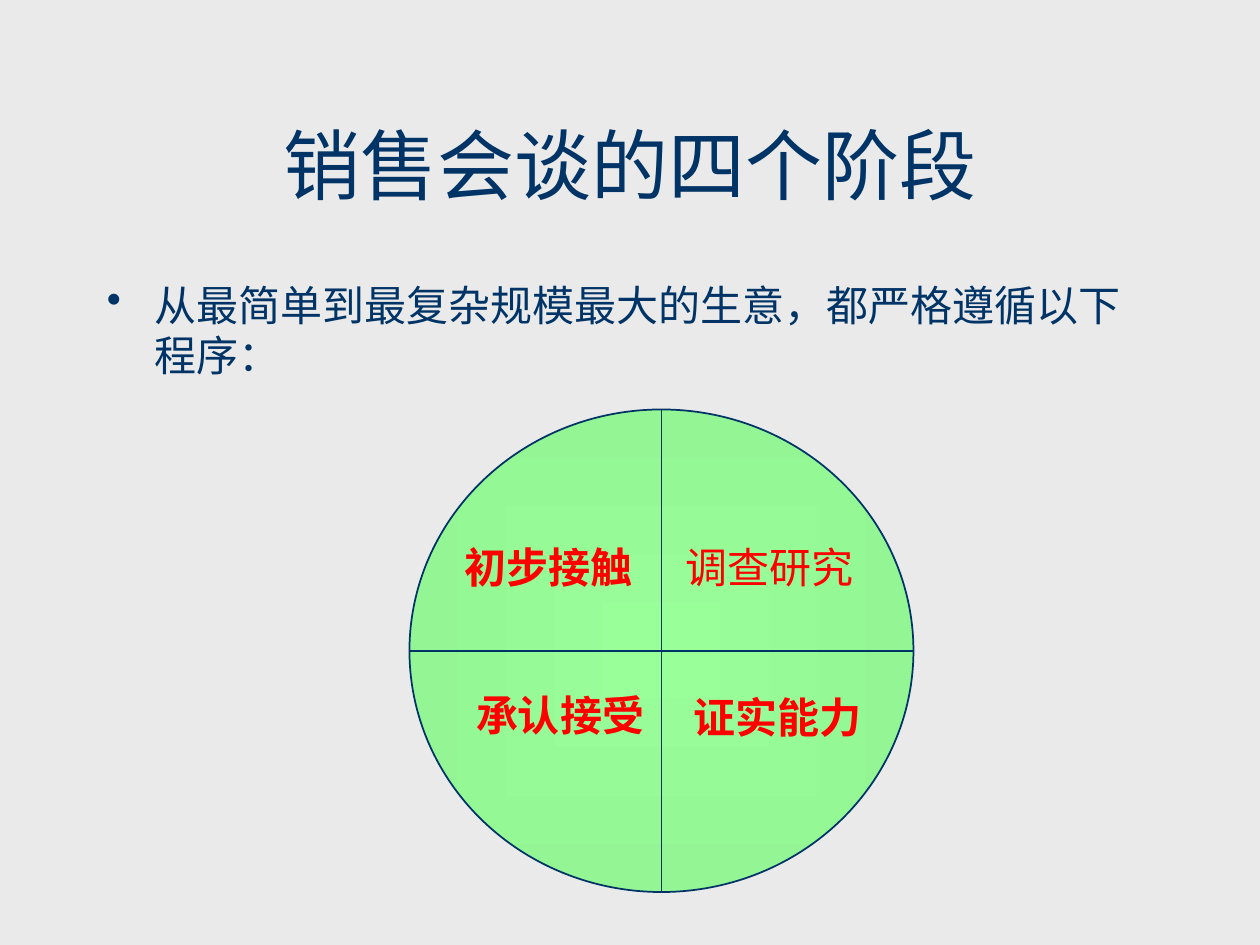
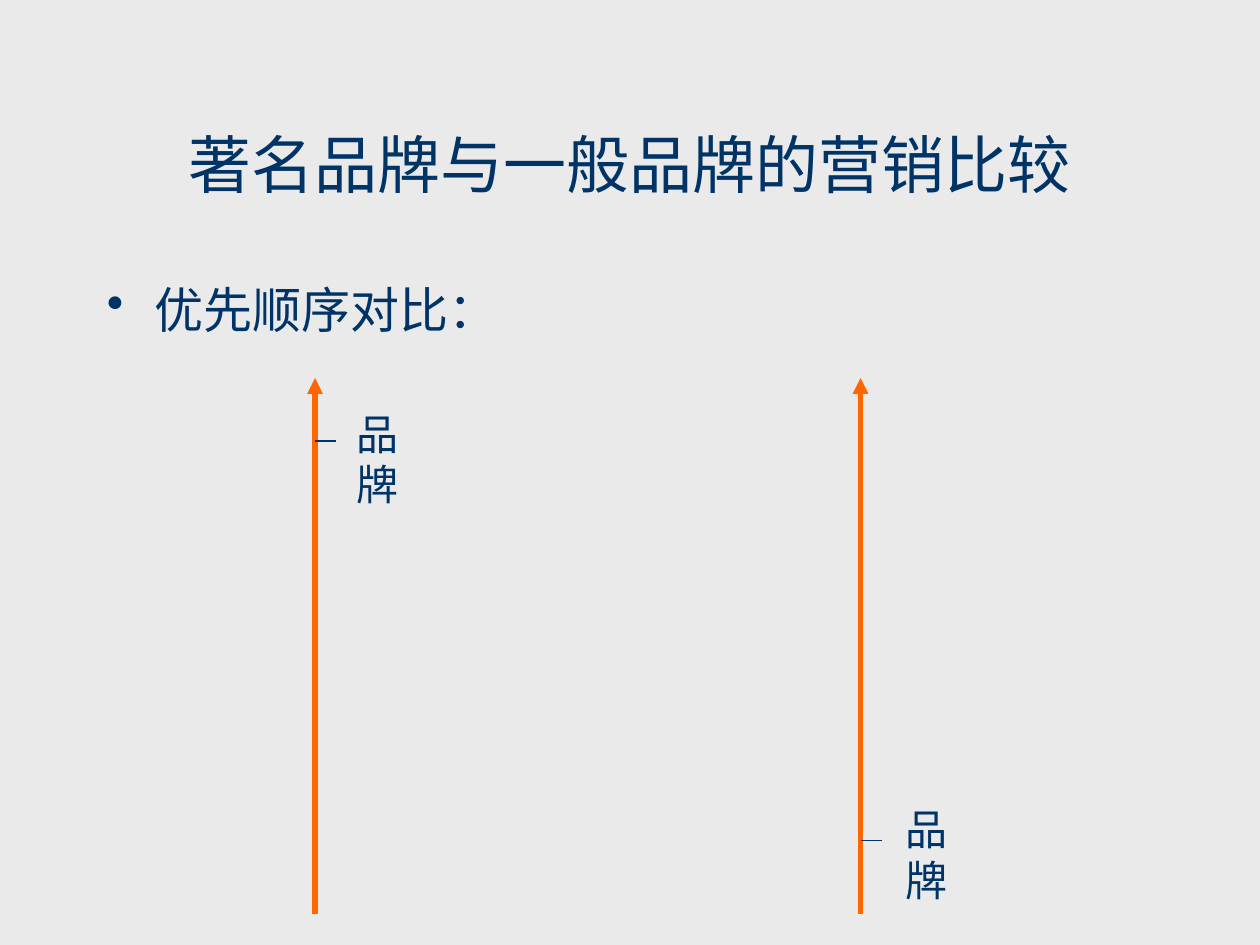
from typing import NamedTuple

import pptx
import pptx.dml.color
import pptx.enum.shapes
import pptx.enum.text
import pptx.oxml
import pptx.oxml.ns
import pptx.util
from pptx.util import Inches

RGBColor = pptx.dml.color.RGBColor
NAVY = RGBColor(0x00, 0x33, 0x66)
RED = RGBColor(0xFF, 0x00, 0x00)
ORANGE = RGBColor(0xFF, 0x66, 0x00)
BACKGROUND = RGBColor(0xEA, 0xEA, 0xEA)
GREEN_CENTRE = RGBColor(0x99, 0xFF, 0x99)
GREEN_EDGE = RGBColor(0x93, 0xF5, 0x93)
FONT = "Times New Roman"
HANGING_INDENT = Inches(0.38)
LABEL_HEIGHT = 0.5


class Box(NamedTuple):
    left: float
    top: float
    width: float
    height: float


class Stage(NamedTuple):
    text: str
    left: float
    top: float
    bold: bool = True


class Scale(NamedTuple):
    x: float
    tick_y: float
    label_left: float
    label_top: float


TITLE_BOX = Box(0.75, 0.67, 8.5, 1.25)
BODY_BOX = Box(0.75, 2.17, 8.5, 4.5)
CIRCLE = Box(3.25, 3.25, 4, 3.83)
STAGES = [
    Stage("初步接触", 3.59, 4.25),
    Stage("调查研究", 5.34, 4.25, bold=False),
    Stage("证实能力", 5.41, 5.44),
    Stage("承认接受", 3.68, 5.42),
]
SCALES = [Scale(2.5, 3.5, 2.73, 3.19), Scale(6.83, 6.67, 7.09, 6.33)]
SCALE_TOP, SCALE_BOTTOM, TICK_LENGTH = 3, 7.25, 0.17


def xml_element(markup: str):
    return pptx.oxml.parse_xml(markup.replace("/>", f" {pptx.oxml.ns.nsdecls('a')}/>", 1)
                               if markup.endswith("/>") and markup.count("<") == 1
                               else markup.replace(">", f" {pptx.oxml.ns.nsdecls('a')}>", 1))


def add_text(slide, text: str, box: Box, *, size: float = 24, color: RGBColor = NAVY,
             bold: bool = False, wrap: bool = False, centered: bool = False,
             bullet: bool = False) -> None:
    shape = slide.shapes.add_textbox(*map(Inches, box))
    frame = shape.text_frame
    frame.word_wrap = wrap
    paragraph = frame.paragraphs[0]
    if centered:
        frame.vertical_anchor = pptx.enum.text.MSO_ANCHOR.MIDDLE
        paragraph.alignment = pptx.enum.text.PP_ALIGN.CENTER
    if bullet:
        properties = paragraph._p.get_or_add_pPr()
        properties.set("marL", str(HANGING_INDENT))
        properties.set("indent", str(-HANGING_INDENT))
        properties.append(xml_element('<a:buChar char="•"/>'))
    run = paragraph.add_run()
    run.text = text
    run.font.name = FONT
    run.font.size = pptx.util.Pt(size)
    run.font.bold = bold
    run.font.color.rgb = color


def add_line(slide, start: tuple[float, float], end: tuple[float, float],
             color: RGBColor = NAVY, width: float = 1, arrow: bool = False) -> None:
    connector = slide.shapes.add_connector(
        pptx.enum.shapes.MSO_CONNECTOR.STRAIGHT, *map(Inches, (*start, *end)))
    connector.line.color.rgb = color
    connector.line.width = pptx.util.Pt(width)
    if arrow:
        connector.line._get_or_add_ln().append(xml_element('<a:tailEnd type="triangle"/>'))
    connector._element.spPr.append(xml_element("<a:effectLst/>"))


def add_circle(slide, box: Box) -> None:
    circle = slide.shapes.add_shape(pptx.enum.shapes.MSO_SHAPE.OVAL, *map(Inches, box))
    circle.shadow.inherit = False
    circle.line.color.rgb = NAVY
    circle.line.width = pptx.util.Pt(1)
    circle.fill.gradient()
    for stop, color in zip(circle.fill.gradient_stops, (GREEN_CENTRE, GREEN_EDGE)):
        stop.color.rgb = color
    gradient = circle._element.spPr.find(pptx.oxml.ns.qn("a:gradFill"))
    gradient.replace(
        gradient.find(pptx.oxml.ns.qn("a:lin")),
        xml_element('<a:path path="rect">'
                    '<a:fillToRect l="50000" t="50000" r="50000" b="50000"/></a:path>'))


def add_slide(presentation, title: str, title_size: float, body: str, body_size: float):
    slide = presentation.slides.add_slide(presentation.slide_layouts[6])
    slide.background.fill.solid()
    slide.background.fill.fore_color.rgb = BACKGROUND
    add_text(slide, title, TITLE_BOX, size=title_size, wrap=True, centered=True)
    add_text(slide, body, BODY_BOX, size=body_size, wrap=True, bullet=True)
    return slide


def add_stages_slide(presentation) -> None:
    slide = add_slide(presentation, "销售会谈的四个阶段", 44,
                      "从最简单到最复杂规模最大的生意，都严格遵循以下程序：", 24)
    add_circle(slide, CIRCLE)
    right, bottom = CIRCLE.left + CIRCLE.width, CIRCLE.top + CIRCLE.height
    center_x, center_y = CIRCLE.left + CIRCLE.width / 2, CIRCLE.top + CIRCLE.height / 2
    add_line(slide, (CIRCLE.left, center_y), (right, center_y))
    add_line(slide, (center_x, CIRCLE.top), (center_x, bottom))
    for stage in STAGES:
        add_text(slide, stage.text, Box(stage.left, stage.top, 1.53, LABEL_HEIGHT),
                 color=RED, bold=stage.bold)


def add_comparison_slide(presentation) -> None:
    slide = add_slide(presentation, "著名品牌与一般品牌的营销比较", 36, "优先顺序对比：", 28)
    for scale in SCALES:
        add_line(slide, (scale.x, SCALE_BOTTOM), (scale.x, SCALE_TOP), ORANGE, 3, arrow=True)
        add_line(slide, (scale.x, scale.tick_y), (scale.x + TICK_LENGTH, scale.tick_y))
        add_text(slide, "品牌", Box(scale.label_left, scale.label_top, 0.86, LABEL_HEIGHT))


def main() -> None:
    presentation = pptx.Presentation()
    presentation.slide_width = Inches(10)
    presentation.slide_height = Inches(7.5)
    add_stages_slide(presentation)
    add_comparison_slide(presentation)
    presentation.save("out.pptx")


if __name__ == "__main__":
    main()
